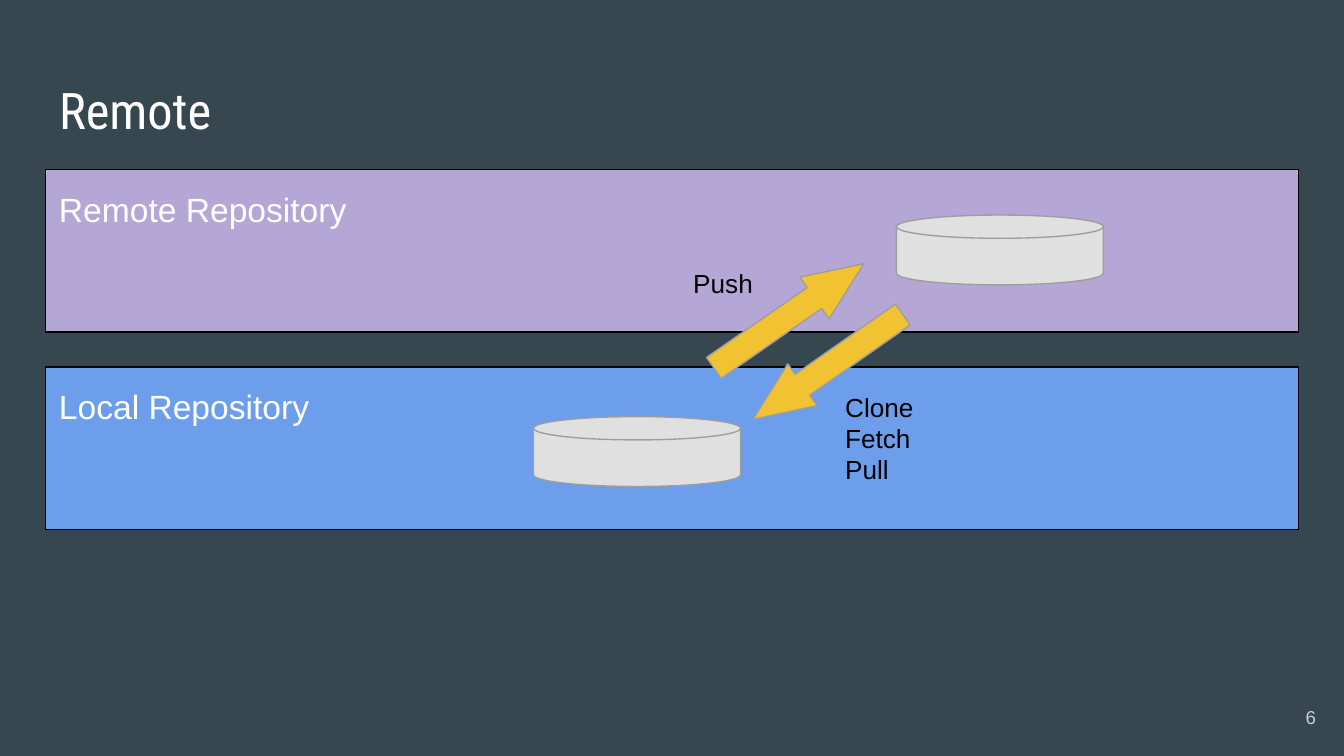
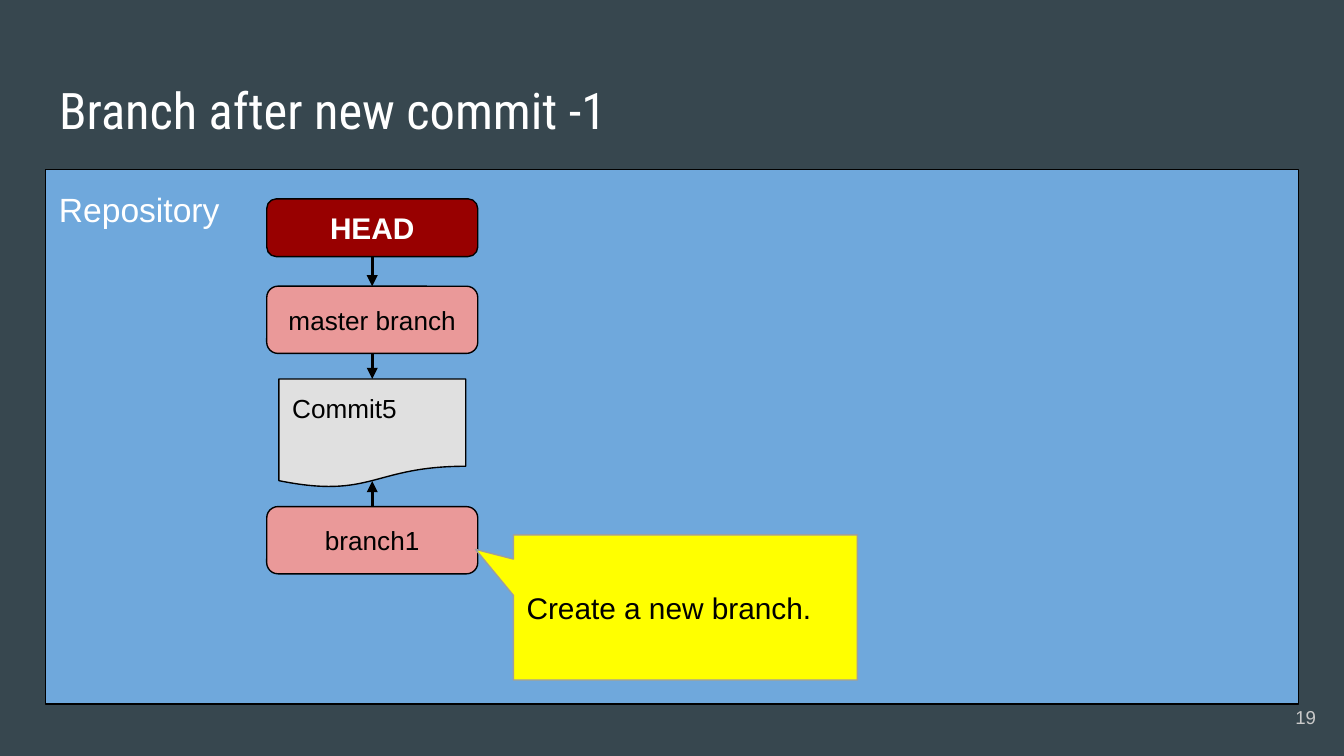
from pptx import Presentation, util as u
from pptx.dml.color import RGBColor
from pptx.enum import shapes, text
from pptx.oxml.ns import qn
from lxml import etree

THEME = {
    "background": "37474F", "white": "FFFFFF", "black": "000000",
    "muted": "CACACA", "grey_line": "9E9E9E", "paper": "E0E0E0",
    "remote": "B4A7D6", "local": "6D9EEB", "repository": "6FA8DC",
    "arrow": "F1C232", "branch": "EA9999", "head": "980000", "note": "FFFF00",
    "title_font": "Roboto Condensed", "body_font": "Arial",
    "title_size": 27, "panel_size": 18, "head_size": 16,
    "label_size": 14, "number_size": 10,
}
KIND = shapes.MSO_SHAPE
ALIGN = text.PP_ALIGN
ANCHOR = text.MSO_ANCHOR
SLIDE_WIDTH = 10
SLIDE_HEIGHT = SLIDE_WIDTH * 9 / 16
MARGIN, CONTENT_WIDTH = 0.34, 9.32
CENTER_X = 2.77

REMOTE = {
    "title": "Remote", "number": "6",
    "panels": [("Remote Repository", 1.26, 1.21, "remote"),
               ("Local Repository", 2.73, 1.21, "local")],
    "disks": [(6.67, 1.6), (3.97, 3.1)],
    "arrows": [(5.19, 2.16, 325.2), (5.48, 2.54, 145)],
    "labels": [(["Push"], 5.06, 1.89, 0.44),
               (["Clone", "Fetch", "Pull"], 6.19, 2.81, 0.91)],
}
BRANCH = {
    "title": "Branch after new commit -1", "number": "19",
    "panels": [("Repository", 1.26, 3.98, "repository")],
    "nodes": [("HEAD", 1.48, 0.43, "head"),
              ("master branch", 2.13, 0.5, "branch"),
              ("Commit5", 2.82, 0.81, "paper"),
              ("branch1", 3.77, 0.5, "branch")],
    "note": "Create a new branch.",
}
DOCUMENT_EDGE = 3.58


def color(name):
    return RGBColor.from_string(THEME[name])


def inches(*values):
    return [u.Inches(value) for value in values]


def write(shape, lines, size, ink="black", font="body_font", align=ALIGN.LEFT,
          anchor=ANCHOR.TOP, bold=False, spacing=None):
    frame = shape.text_frame
    frame_format = {"word_wrap": True, "auto_size": text.MSO_AUTO_SIZE.NONE,
                    "vertical_anchor": anchor}
    for side in ("left", "top", "right", "bottom"):
        frame_format["margin_" + side] = u.Inches(0.1)
    for name, value in frame_format.items():
        setattr(frame, name, value)
    frame.text = "\n".join(lines)
    for paragraph in frame.paragraphs:
        paragraph.alignment = align
        for name, value in (spacing or {}).items():
            setattr(paragraph, name, value)
        font_format = {"name": THEME[font], "size": u.Pt(THEME[size]), "bold": bold}
        for name, value in font_format.items():
            setattr(paragraph.font, name, value)
        paragraph.font.color.rgb = color(ink)


def add_box(slide, kind, place, fill, line="black", adjustments=(), rotation=0):
    shape = slide.shapes.add_shape(kind, *inches(*place))
    shape.shadow.inherit = False
    shape.rotation = rotation
    shape.fill.solid()
    shape.fill.fore_color.rgb = color(fill)
    shape.line.color.rgb = color(line)
    shape.line.width = u.Pt(0.75)
    for index, value in enumerate(adjustments):
        shape.adjustments[index] = value
    return shape


def add_label(slide, lines, place, **format_values):
    label = slide.shapes.add_textbox(*inches(*place))
    write(label, lines, **format_values)


def add_link(slide, start, end, end_y=None):
    begin_site, end_site = (2, 0) if start.top < end.top else (0, 2)
    link = slide.shapes.add_connector(shapes.MSO_CONNECTOR.STRAIGHT,
                                      *inches(CENTER_X, 3.77, CENTER_X, DOCUMENT_EDGE))
    link.begin_connect(start, begin_site)
    if end_y is None:
        link.end_connect(end, end_site)
    else:
        link.end_x, link.end_y = inches(CENTER_X, end_y)
    link.line.color.rgb = color("black")
    link.line.width = u.Pt(1.5)
    outline = link._element.spPr.find(qn("a:ln"))
    etree.SubElement(outline, qn("a:tailEnd"), type="triangle")
    etree.SubElement(link._element.spPr, qn("a:effectLst"))


def add_base(presentation, content):
    slide = presentation.slides.add_slide(presentation.slide_layouts[5])
    title = slide.shapes.title
    title.left, title.top, title.width, title.height = inches(
        MARGIN, 0.49, CONTENT_WIDTH, 0.63)
    write(title, [content["title"]], "title_size", "white", "title_font")
    for label, top, height, fill in content["panels"]:
        panel = add_box(slide, KIND.RECTANGLE, (MARGIN, top, CONTENT_WIDTH, height), fill)
        write(panel, [label], "panel_size", "white",
              spacing={"line_spacing": 1.15, "space_after": u.Pt(12)})
    add_label(slide, [content["number"]], (9.29, 5.12, 0.6, 0.43), size="number_size",
              ink="muted", align=ALIGN.RIGHT, anchor=ANCHOR.MIDDLE)
    return slide


def build_remote(presentation):
    slide = add_base(presentation, REMOTE)
    for left, top in REMOTE["disks"]:
        add_box(slide, KIND.FLOWCHART_MAGNETIC_DISK, (left, top, 1.54, 0.52),
                "paper", "grey_line")
    for left, top, rotation in REMOTE["arrows"]:
        add_box(slide, KIND.RIGHT_ARROW, (left, top, 1.36, 0.38), "arrow", "grey_line",
                (0.5, 1.18), rotation)
    for lines, left, top, height in REMOTE["labels"]:
        add_label(slide, lines, (left, top, 1, height), size="label_size")


def build_branch(presentation):
    slide = add_base(presentation, BRANCH)
    nodes = []
    for label, top, height, fill in BRANCH["nodes"]:
        is_commit, is_head = fill == "paper", fill == "head"
        width = 1.39 if is_commit else 1.57
        kind = KIND.FLOWCHART_DOCUMENT if is_commit else KIND.ROUNDED_RECTANGLE
        node = add_box(slide, kind, (CENTER_X - width / 2, top, width, height), fill)
        write(node, [label], "head_size" if is_head else "label_size",
              "white" if is_head else "black", bold=is_head,
              align=ALIGN.LEFT if is_commit else ALIGN.CENTER,
              anchor=ANCHOR.TOP if is_commit else ANCHOR.MIDDLE)
        nodes.append(node)
    head, master, commit, branch = nodes
    add_link(slide, head, master)
    add_link(slide, master, commit)
    add_link(slide, branch, commit, DOCUMENT_EDGE)
    note = add_box(slide, KIND.ROUNDED_RECTANGULAR_CALLOUT, (3.82, 3.98, 2.56, 1.08),
                   "note", "grey_line", (-0.61, -0.4, 0))
    write(note, [BRANCH["note"]], "head_size", anchor=ANCHOR.MIDDLE)


def main():
    presentation = Presentation()
    presentation.slide_width, presentation.slide_height = inches(SLIDE_WIDTH, SLIDE_HEIGHT)
    background = presentation.slide_master.background.fill
    background.solid()
    background.fore_color.rgb = color("background")
    build_remote(presentation)
    build_branch(presentation)
    presentation.save("out.pptx")


if __name__ == "__main__":
    main()
